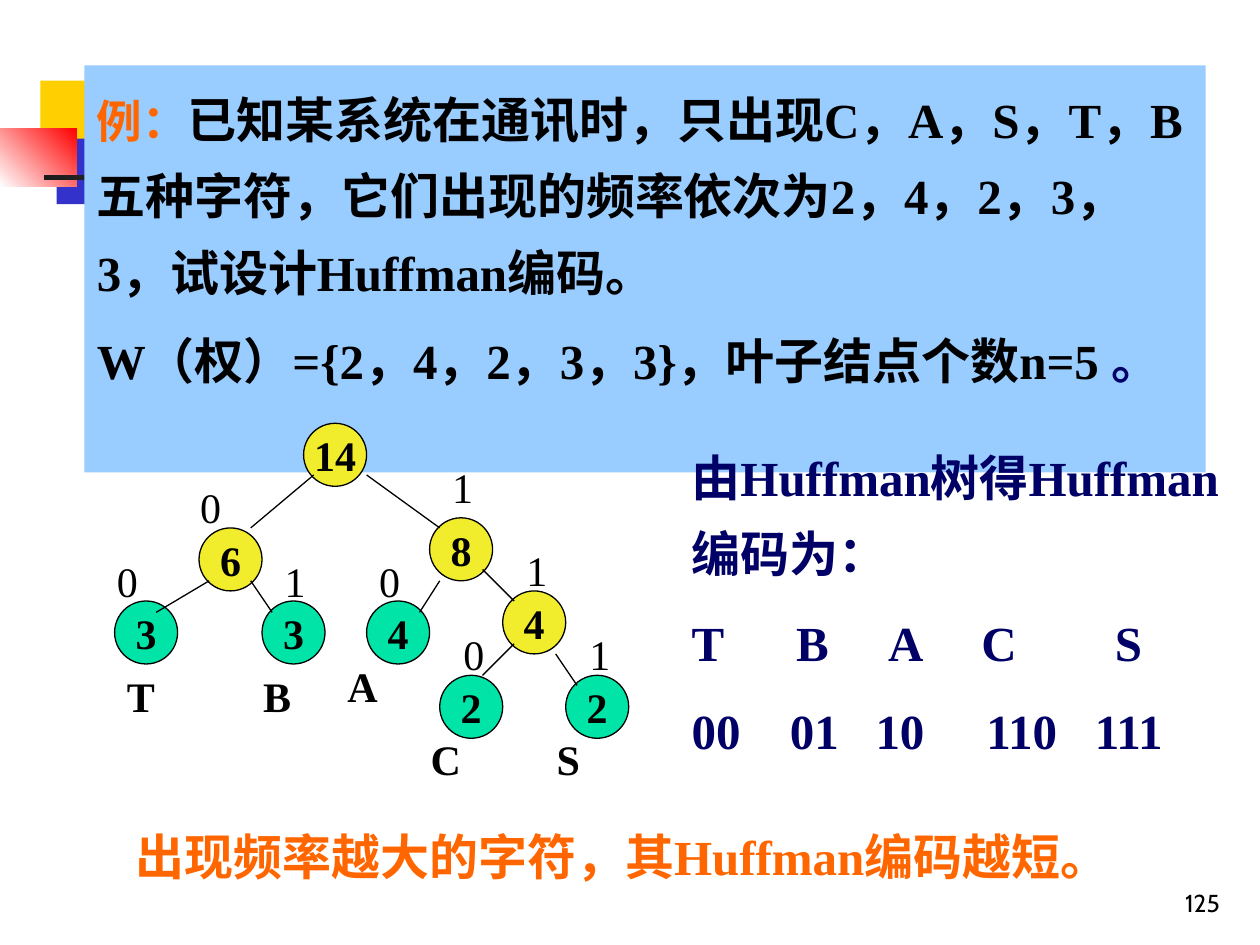
from lxml import etree
from pptx import Presentation
from pptx.dml.color import RGBColor
from pptx.enum.shapes import MSO_CONNECTOR, MSO_SHAPE
from pptx.enum.text import MSO_ANCHOR, PP_ALIGN
from pptx.oxml.ns import qn
from pptx.util import Inches, Pt

RECTANGLE, OVAL = MSO_SHAPE.RECTANGLE, MSO_SHAPE.OVAL
STRAIGHT = MSO_CONNECTOR.STRAIGHT
MIDDLE, BOTTOM = MSO_ANCHOR.MIDDLE, MSO_ANCHOR.BOTTOM
CENTER, RIGHT = PP_ALIGN.CENTER, PP_ALIGN.RIGHT

COLORS = {
    "gold": "FFCF01", "blue": "3333CC", "red": "FF0000", "white": "FFFFFF",
    "charcoal": "1C1C1C", "panel": "99CCFF", "inner": "F2ED2C", "leaf": "00E4A8",
    "black": "000000", "navy": "000066", "orange": "FF6600",
}
SERIF = "Times New Roman"
NODE_SIZE = 0.5


def add_block(kind, left, top, width, height, fill, fill_end=None, angle=0):
    shape = page.shapes.add_shape(kind, Inches(left), Inches(top), Inches(width), Inches(height))
    shape.shadow.inherit = False
    shape.line.fill.background()
    if fill_end:
        shape.fill.gradient()
        shape.fill.gradient_angle = angle
        for stop, name in zip(shape.fill.gradient_stops, (fill, fill_end)):
            stop.color.rgb = RGBColor.from_string(COLORS[name])
    else:
        shape.fill.solid()
        shape.fill.fore_color.rgb = RGBColor.from_string(COLORS[fill])
    return shape


def add_text(left, top, width, height, paragraphs, size, color="black", bold=True, font=SERIF):
    box = page.shapes.add_textbox(Inches(left), Inches(top), Inches(width), Inches(height))
    box.text_frame.word_wrap = True
    box.text_frame.text = "\n".join(paragraphs)
    for para in box.text_frame.paragraphs:
        for span in para.runs:
            span.font.size = Pt(size)
            span.font.name = font
            span.font.bold = bold
            span.font.color.rgb = RGBColor.from_string(COLORS[color])
    return box


deck = Presentation()
deck.slide_width, deck.slide_height = Inches(10), Inches(7.5)
page = deck.slides.add_slide(deck.slide_layouts[6])

add_block(RECTANGLE, 0.32, 0.64, 0.48, 0.52, "gold")
add_block(RECTANGLE, 0.45, 1.1, 0.46, 0.52, "blue")
add_block(RECTANGLE, 0, 1.02, 0.61, 0.46, "white", "red", 45)
add_block(RECTANGLE, 0.35, 1.39, 9, 0.04, "charcoal", "white")

problem = add_text(0.67, 0.52, 8.9, 3.23, ["例：", "W（权）={2，4，2，3，3}，叶子结点个数n=5 "], 28)
problem.fill.solid()
problem.fill.fore_color.rgb = RGBColor.from_string(COLORS["panel"])
question, weights = problem.text_frame.paragraphs
question.runs[0].font.size = Pt(26)
question.runs[0].font.color.rgb = RGBColor.from_string(COLORS["orange"])
for para, text, color in (
    (question, "已知某系统在通讯时，只出现C，A，S，T，B五种字符，它们出现的频率依次为2，4，2，3，3，试设计Huffman编码。", "black"),
    (weights, "。", "navy"),
):
    span = para.add_run()
    span.text = text
    span.font.size = Pt(28)
    span.font.name = SERIF
    span.font.bold = True
    span.font.color.rgb = RGBColor.from_string(COLORS[color])
    para.line_spacing = 1.3
weights.space_before = Pt(7)

nodes = [
    ("14", 2.41, 3.36, "inner"), ("8", 3.41, 4.11, "inner"),
    ("4", 3.99, 4.69, "inner"), ("6", 1.58, 4.19, "inner"),
    ("4", 2.91, 4.77, "leaf"), ("2", 3.49, 5.36, "leaf"), ("2", 4.49, 5.36, "leaf"),
    ("3", 0.91, 4.77, "leaf"), ("3", 2.08, 4.77, "leaf"),
]
for weight, left, top, role in nodes:
    node = add_block(OVAL, left, top, NODE_SIZE, NODE_SIZE, role)
    node.line.color.rgb = RGBColor.from_string(COLORS["black"])
    node.line.width = Pt(0.75)
    frame = node.text_frame
    frame.word_wrap = False
    frame.vertical_anchor = MIDDLE
    frame.text = weight
    para = frame.paragraphs[0]
    para.alignment = CENTER
    font = para.runs[0].font
    font.size, font.name, font.bold = Pt(24), SERIF, True
    font.color.rgb = RGBColor.from_string(COLORS["black"])

edges = [
    (2.91, 3.77, 3.49, 4.19), (3.49, 4.61, 3.33, 4.86), (4.08, 5.11, 3.83, 5.36),
    (4.41, 5.19, 4.58, 5.44), (3.83, 4.52, 4.08, 4.77), (2.49, 3.77, 1.99, 4.19),
    (1.66, 4.61, 1.24, 4.86), (1.99, 4.61, 2.16, 4.86),
]
for ends in edges:
    edge = page.shapes.add_connector(STRAIGHT, *[Inches(value) for value in ends])
    edge.line.color.rgb = RGBColor.from_string(COLORS["black"])
    edge.line.width = Pt(0.75)
    etree.SubElement(edge._element.spPr, qn("a:effectLst"))

bits = [
    ("0", 1.49, 3.77), ("0", 2.91, 4.36), ("0", 3.58, 4.94), ("0", 0.83, 4.36),
    ("1", 3.49, 3.61), ("1", 4.08, 4.27), ("1", 4.58, 4.94), ("1", 2.16, 4.36),
]
for bit, left, top in bits:
    add_text(left, top, 0.58, 0.5, [bit], 24, bold=False)

letters = [("T", 0.91, 5.27), ("B", 1.99, 5.27), ("A", 2.66, 5.19), ("C", 3.32, 5.77), ("S", 4.32, 5.77)]
for letter, left, top in letters:
    add_text(left, top, 0.84, 0.5, [letter], 24)

codes = add_text(5.39, 3.36, 4.41, 2.72,
                 ["由Huffman树得Huffman编码为：", "T\tB\tA\tC\tS", "00\t01\t10\t110\t111"], 28, "navy")
heading, *rows = codes.text_frame.paragraphs
heading.line_spacing = 1.3
for para, stops in zip(rows, ((0.83, 1.56, 2.3, 3.36), (0.78, 1.46, 2.34, 3.2))):
    para.line_spacing = 1.3
    para.space_before = Pt(7)
    tabs = etree.SubElement(para._p.get_or_add_pPr(), qn("a:tabLst"))
    for stop in stops:
        etree.SubElement(tabs, qn("a:tab"), pos=str(Inches(stop)), algn="l")

add_text(0.98, 6.51, 8.03, 0.57, ["出现频率越大的字符，其Huffman编码越短。"], 28, "orange")

number = add_text(7.7, 6.83, 2.08, 0.5, ["125"], 14, bold=False, font="Cabin")
number.text_frame.vertical_anchor = BOTTOM
number.text_frame.paragraphs[0].alignment = RIGHT
number.text_frame.paragraphs[0].line_spacing = 0.8

deck.save("out.pptx")
